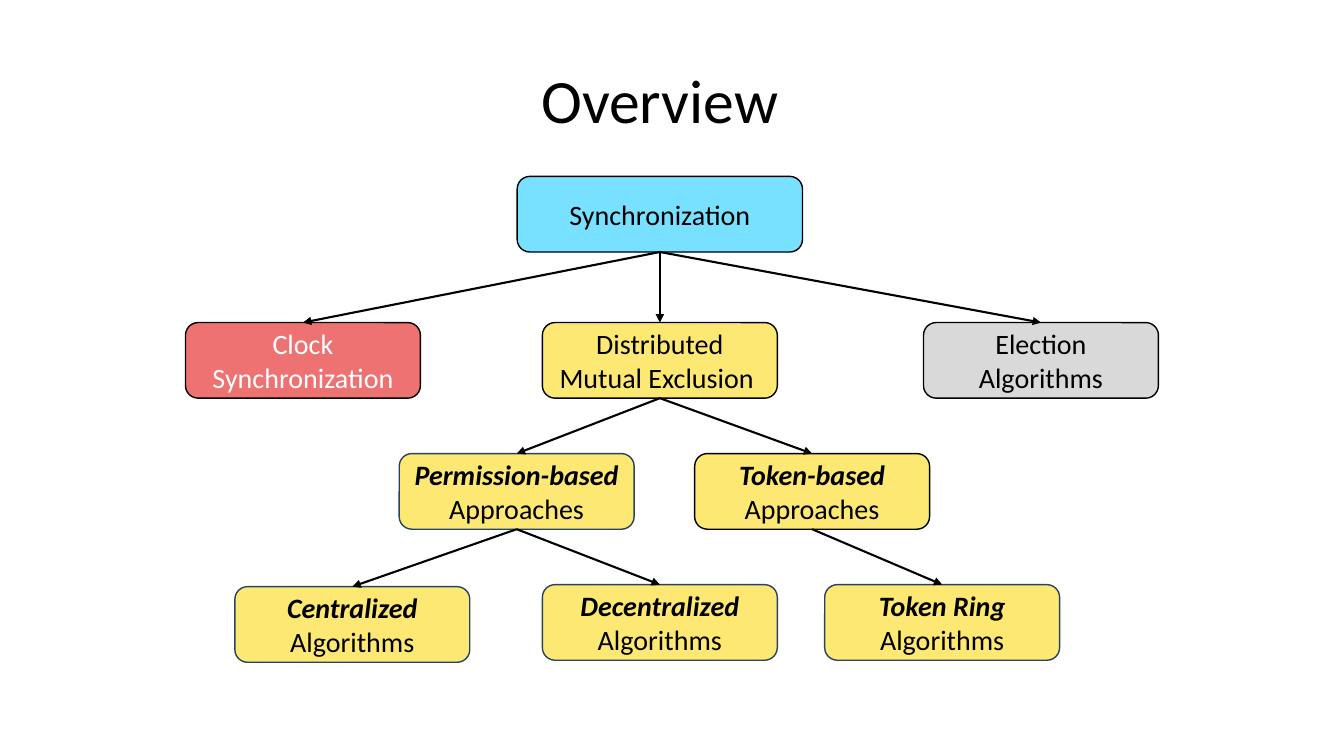
from pptx import Presentation
from pptx.dml.color import RGBColor
from pptx.enum.shapes import MSO_CONNECTOR, MSO_SHAPE
from pptx.enum.text import MSO_ANCHOR, PP_ALIGN
from pptx.oxml.ns import qn
from pptx.util import Inches, Pt
from lxml import etree

BLACK = RGBColor(0x00, 0x00, 0x00)
WHITE = RGBColor(0xFF, 0xFF, 0xFF)
BLUE = RGBColor(0x77, 0xE1, 0xFF)
RED = RGBColor(0xEF, 0x72, 0x73)
YELLOW = RGBColor(0xFC, 0xE8, 0x73)
GRAY = RGBColor(0xD9, 0xD9, 0xD9)
NAVY = RGBColor(0x28, 0x44, 0x5D)

BOX_HEIGHT = 0.75
BOX_WIDTH = 2.33
ROOT_WIDTH = 2.83
BOTTOM, TOP = 2, 0


def add_run(paragraph, text, size, color, emphasis=False):
    run = paragraph.add_run()
    run.text = text
    font_format = {"name": "Calibri", "size": Pt(size),
                   "bold": emphasis, "italic": emphasis}
    for attribute, value in font_format.items():
        setattr(run.font, attribute, value)
    run.font.color.rgb = color


def center_text(shape):
    frame = shape.text_frame
    frame.word_wrap = True
    frame.vertical_anchor = MSO_ANCHOR.MIDDLE
    paragraph = frame.paragraphs[0]
    paragraph.alignment = PP_ALIGN.CENTER
    return paragraph


presentation = Presentation()
presentation.slide_width = Inches(13.33)
presentation.slide_height = Inches(7.5)
slide = presentation.slides.add_slide(presentation.slide_layouts[6])

title = slide.shapes.add_textbox(Inches(1.92), Inches(0.3), Inches(9.25), Inches(1.45))
title_paragraph = center_text(title)
title_paragraph.line_spacing = 0.9
add_run(title_paragraph, "Overview", 44, BLACK)

# name: (left, top, width, fill, line, text color, emphasized text, plain text, parent)
nodes = {
    "root": (5.13, 1.75, ROOT_WIDTH, BLUE, BLACK, BLACK, "", "Synchronization", None),
    "clock": (1.84, 3.2, BOX_WIDTH, RED, BLACK, WHITE, "", "Clock Synchronization", "root"),
    "exclusion": (5.38, 3.2, BOX_WIDTH, YELLOW, BLACK, BLACK, "",
                  "Distributed Mutual Exclusion ", "root"),
    "election": (9.16, 3.2, BOX_WIDTH, GRAY, BLACK, BLACK, "", "Election Algorithms", "root"),
    "permission": (3.96, 4.5, BOX_WIDTH, YELLOW, NAVY, BLACK,
                   "Permission-based", " Approaches", "exclusion"),
    "token": (6.89, 4.5, BOX_WIDTH, YELLOW, BLACK, BLACK,
              "Token-based ", "Approaches", "exclusion"),
    "centralized": (2.33, 5.82, BOX_WIDTH, YELLOW, NAVY, BLACK,
                    "Centralized", " Algorithms", "permission"),
    "decentralized": (5.38, 5.8, BOX_WIDTH, YELLOW, NAVY, BLACK,
                      "Decentralized", " Algorithms", "permission"),
    "ring": (8.18, 5.8, BOX_WIDTH, YELLOW, NAVY, BLACK,
             "Token Ring ", "Algorithms", "token"),
}

boxes = {}
for name, (left, top, width, fill, line, color, emphasized, plain, parent) in nodes.items():
    box = slide.shapes.add_shape(MSO_SHAPE.ROUNDED_RECTANGLE, Inches(left), Inches(top),
                                 Inches(width), Inches(BOX_HEIGHT))
    box.shadow.inherit = False
    box.fill.solid()
    box.fill.fore_color.rgb = fill
    box.line.color.rgb = line
    box.line.width = Pt(1)
    paragraph = center_text(box)
    if emphasized:
        add_run(paragraph, emphasized, 20, color, emphasis=True)
    add_run(paragraph, plain, 20, color)
    boxes[name] = box

    if parent:
        arrow = slide.shapes.add_connector(MSO_CONNECTOR.STRAIGHT, 0, 0, 0, 0)
        arrow.begin_connect(boxes[parent], BOTTOM)
        arrow.end_connect(box, TOP)
        arrow.line.color.rgb = BLACK
        arrow.line.width = Pt(1.5)
        etree.SubElement(arrow.line._get_or_add_ln(), qn("a:tailEnd"), type="triangle")
        etree.SubElement(arrow._element.spPr, qn("a:effectLst"))

presentation.save("out.pptx")
